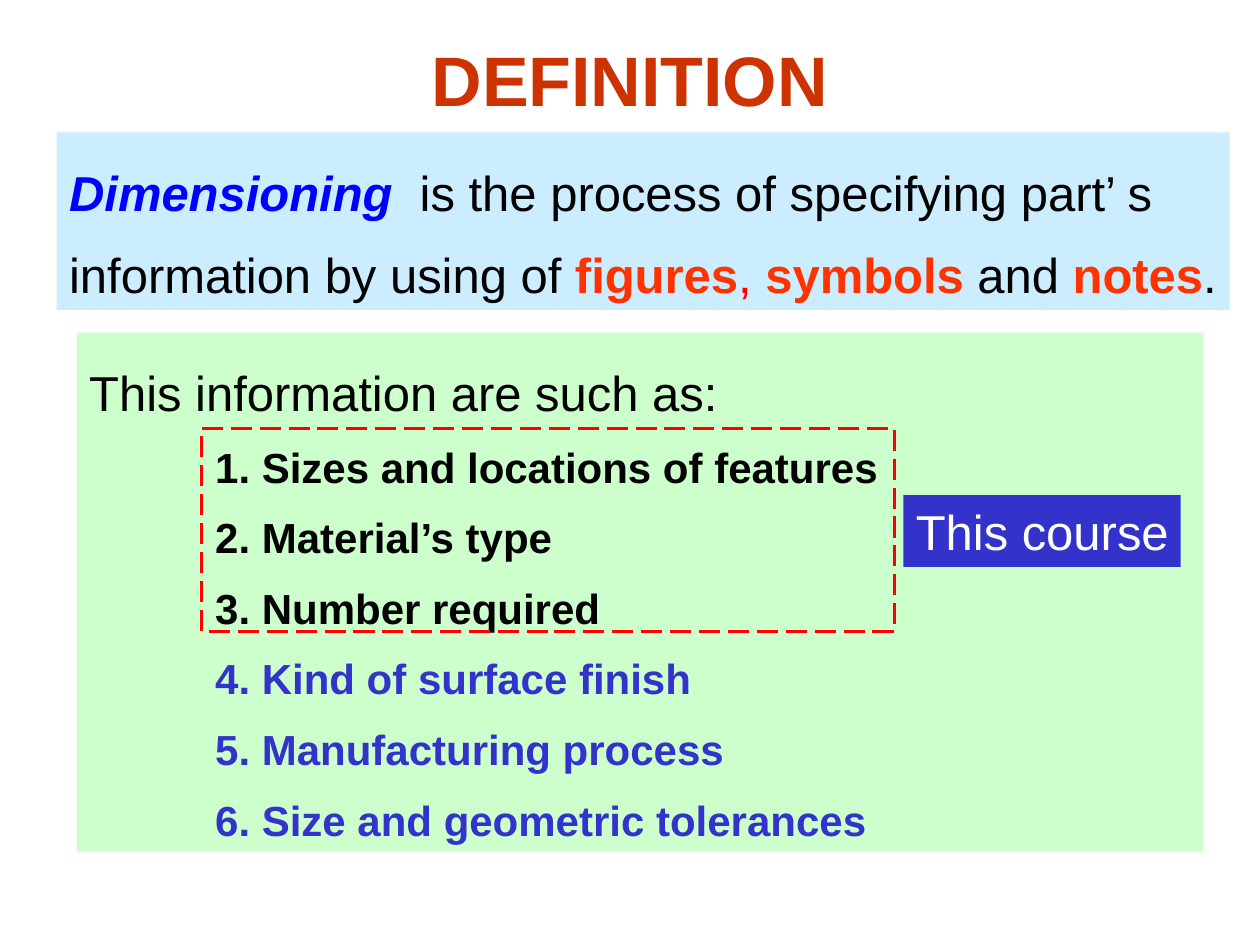
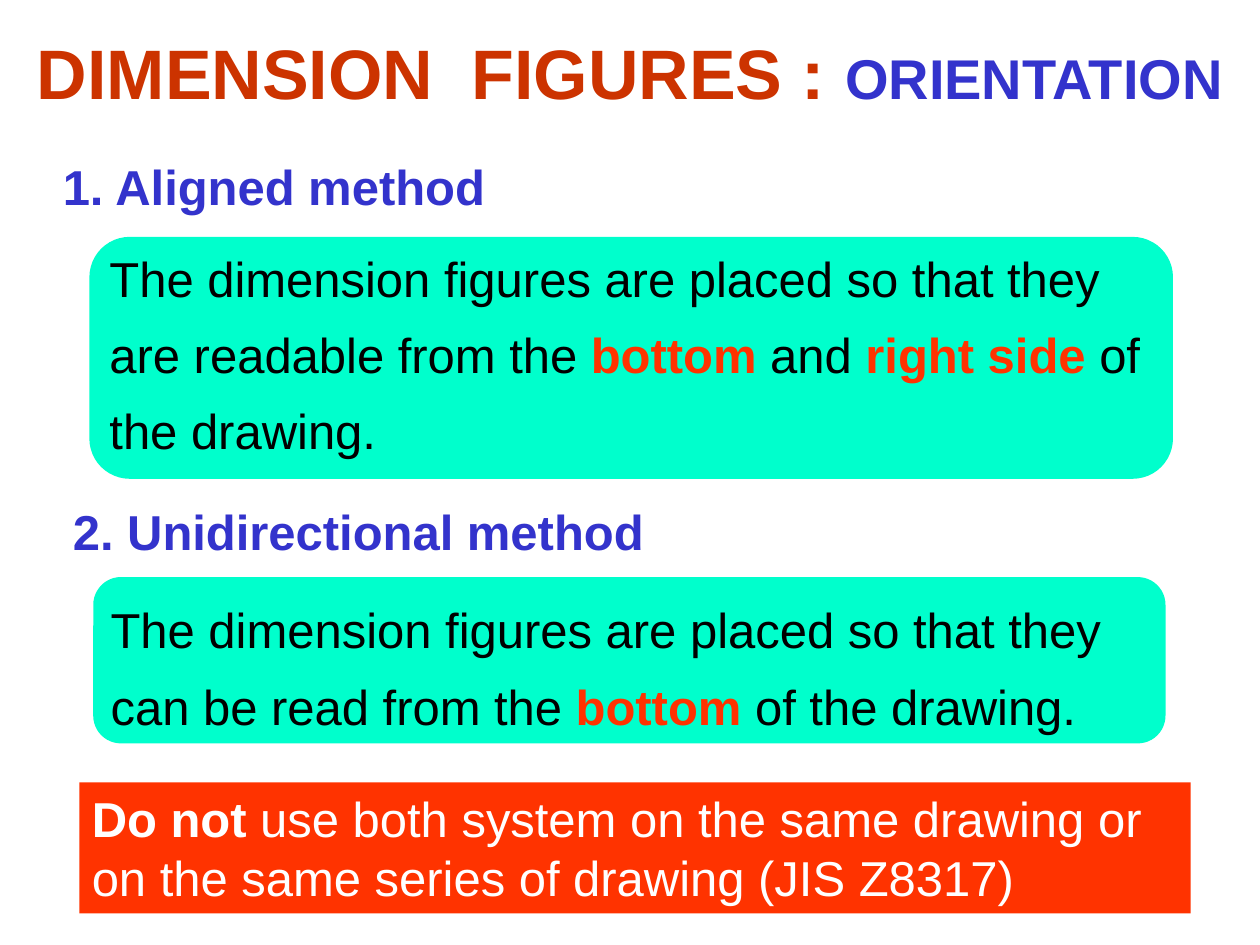
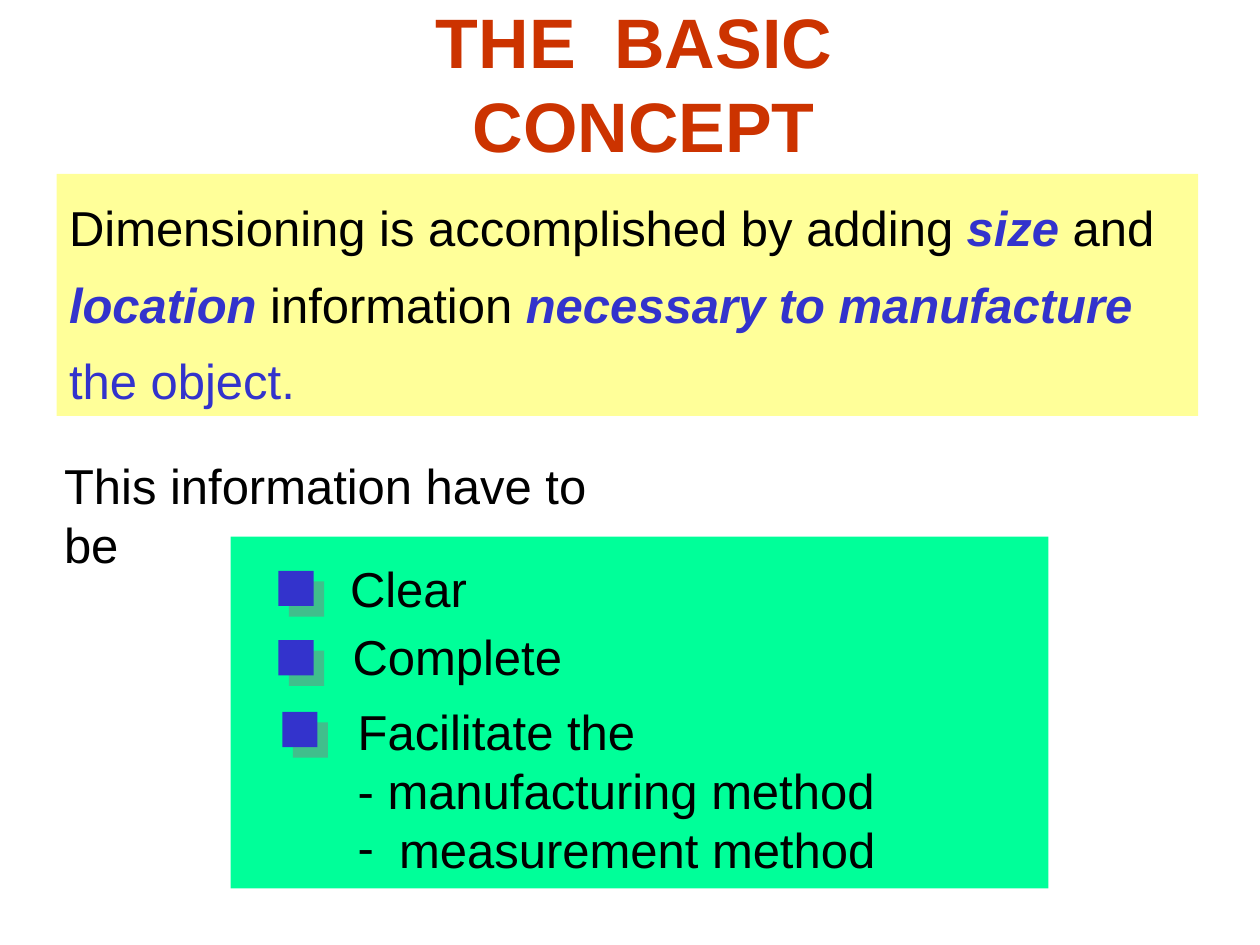
from lxml.etree import SubElement
from pptx import Presentation
from pptx.dml.color import RGBColor
from pptx.enum.dml import MSO_LINE
from pptx.enum.shapes import MSO_SHAPE as SHAPE
from pptx.enum.text import MSO_ANCHOR as ANCHOR, PP_ALIGN as ALIGN
from pptx.oxml.ns import qn
from pptx.util import Pt

PX = 9144  # 100 px to the inch
FONT = "Arial"
BLACK, WHITE = "000000", "FFFFFF"
TITLE_RED, ORANGE, RED = "CC3300", "FF3300", "FF0000"
INDIGO, BLUE = "3333CC", "0000FF"
TITLE_SIZE, BODY_SIZE = 40, 28


def add_panel(slide, at, fill=None, preset=SHAPE.RECTANGLE):
    """Add a plain shape without outline or shadow."""
    panel = slide.shapes.add_shape(preset, *(n * PX for n in at))
    panel.shadow.inherit = False
    panel.line.fill.background()
    if fill:
        panel.fill.solid()
        panel.fill.fore_color.rgb = RGBColor.from_string(fill)
    else:
        panel.fill.background()
    return panel


def add_text(slide, at, lines, size=BODY_SIZE, fill=None, wrap=False,
             spacing=1.0, align=ALIGN.LEFT, anchor=ANCHOR.TOP):
    """Add text; a line is a list of (text, colour, style, size) spans, the last two optional."""
    if fill:
        box = add_panel(slide, at, fill)
    else:
        box = slide.shapes.add_textbox(*(n * PX for n in at))
    frame = box.text_frame
    frame.word_wrap = wrap
    frame.vertical_anchor = anchor
    for index, spans in enumerate(lines):
        para = frame.add_paragraph() if index else frame.paragraphs[0]
        para.alignment = align
        para.line_spacing = spacing
        for text, colour, *extra in spans:
            style = extra[0] if extra else ""
            span = para.add_run()
            span.text = text
            span.font.name = FONT
            span.font.size = Pt(extra[1] if len(extra) > 1 else size)
            span.font.bold = "b" in style
            span.font.italic = "i" in style
            span.font.color.rgb = RGBColor.from_string(colour)
    return box


deck = Presentation()
deck.slide_width, deck.slide_height = 1000 * PX, 750 * PX
blank = deck.slide_layouts[6]

# Slide titles
titles = [
    ((75, 0, 850, 125), [("DEFINITION", TITLE_RED, "b")]),
    ((0, 18, 1000, 77), [("DIMENSION  FIGURES : ", TITLE_RED, "b"),
                         ("ORIENTATION", INDIGO, "b", 32)]),
    ((193, 27, 636, 77), [("THE  BASIC  CONCEPT", TITLE_RED, "b")]),
]
for at, spans in titles:
    add_text(deck.slides.add_slide(blank), at, [spans], TITLE_SIZE, wrap=True,
             align=ALIGN.CENTER, anchor=ANCHOR.MIDDLE)
definition, orientation, concept = deck.slides

# Definition: what dimensioning is
add_text(definition, (45, 105, 931, 141), [
    [("Dimensioning", BLUE, "bi"),
     ("  is the process of specifying part’ s", BLACK)],
    [("information by using of ", BLACK), ("figures", ORANGE, "b"), (", ", RED),
     ("symbols ", ORANGE, "b"), ("and ", BLACK), ("notes", ORANGE, "b"), (".", BLACK)],
], fill="CCECFF", spacing=1.4)

# Definition: kinds of information, the first three belong to the course
kinds = ["Sizes and locations of features", "Material’s type", "Number required",
         "Kind of surface finish", "Manufacturing process",
         "Size and geometric tolerances"]
kind_lines = [[(f"{number}. {kind}", BLACK if number <= 3 else INDIGO, "b", 24)]
              for number, kind in enumerate(kinds, 1)]
kind_box = add_text(definition, (61, 264, 894, 412),
                    [[("This information are such as:", BLACK)]] + kind_lines,
                    fill="CCFFCC", wrap=True, spacing=1.4)
for para in kind_box.text_frame.paragraphs[1:]:
    para._p.get_or_add_pPr().set("marL", str(100 * PX))

course_frame = add_panel(definition, (160, 340, 550, 161))
course_frame.line.color.rgb = RGBColor.from_string(RED)
course_frame.line.width = Pt(1.5)
course_frame.line.dash_style = MSO_LINE.LONG_DASH
add_text(definition, (717, 393, 220, 57), [[("This course", WHITE)]], fill=INDIGO)

# Orientation: heading, rounded panel and rule of each method
methods = [
    ("1. Aligned method", (40, 119, 356, 57), (71, 188, 860, 192), (77, 178, 855, 192),
     [("The dimension figures are placed so that they are readable from the ", BLACK),
      ("bottom", ORANGE, "b"), (" and ", BLACK), ("right side ", ORANGE, "b"),
      ("of the drawing.", BLACK)]),
    ("2. Unidirectional method", (48, 393, 473, 57), (74, 458, 851, 132), (78, 457, 827, 132),
     [("The dimension figures are placed so that they can be read from the ", BLACK),
      ("bottom", ORANGE, "b"), (" of the drawing.", BLACK)]),
]
for heading, heading_at, panel_at, rule_at, rule in methods:
    add_text(orientation, heading_at, [[(heading, INDIGO, "b")]])
    add_panel(orientation, panel_at, "00FFCC", SHAPE.ROUNDED_RECTANGLE)
    add_text(orientation, rule_at, [rule], wrap=True, spacing=1.3)

# Orientation: warning
add_text(orientation, (63, 621, 882, 104), [
    [("Do not", WHITE, "b"),
     (" use both system on the same drawing or on the same series of drawing (JIS Z8317)",
      WHITE)],
], fill=ORANGE, wrap=True)

# Basic concept: statement
add_text(concept, (45, 138, 906, 192), [
    [("Dimensioning is accomplished by adding ", BLACK), ("size", INDIGO, "bi"),
     (" and ", BLACK), ("location", INDIGO, "bi"), (" information ", BLACK),
     ("necessary to manufacture", INDIGO, "bi")],
    [("the object.", INDIGO)],
], fill="FFFF99", wrap=True, spacing=1.3)
add_text(concept, (41, 357, 488, 57), [[("This information have to be", BLACK)]])

# Basic concept: requirements with shadowed square markers
add_panel(concept, (183, 426, 649, 279), "00FF99")
requirements = [
    ((268, 438, 113, 57), (221, 453), ["Clear"]),
    ((270, 492, 186, 57), (221, 508), ["Complete"]),
    ((274, 552, 432, 150), (224, 565),
     ["Facilitate the", "- manufacturing method", "measurement method"]),
]
for at, marker_at, lines in requirements:
    requirement = add_text(concept, at, [[(line, BLACK)] for line in lines])
    marker = add_panel(concept, (*marker_at, 28, 28), INDIGO)
    effects = marker._element.spPr.find(qn("a:effectLst"))
    shadow = SubElement(effects, qn("a:outerShdw"), blurRad="0", dist=str(Pt(8.5)),
                        dir="2700000", algn="ctr", rotWithShape="0")
    shade = SubElement(shadow, qn("a:srgbClr"), val="808080")
    SubElement(shade, qn("a:alpha"), val="50000")

# Dash bullet on the last line of the last requirement
bullet_props = requirement.text_frame.paragraphs[-1]._p.get_or_add_pPr()
bullet_props.set("marL", str(33 * PX))
bullet_props.set("indent", str(-33 * PX))
SubElement(bullet_props, qn("a:buFont"), typeface=FONT)
SubElement(bullet_props, qn("a:buChar"), char="-")

deck.save("out.pptx")
